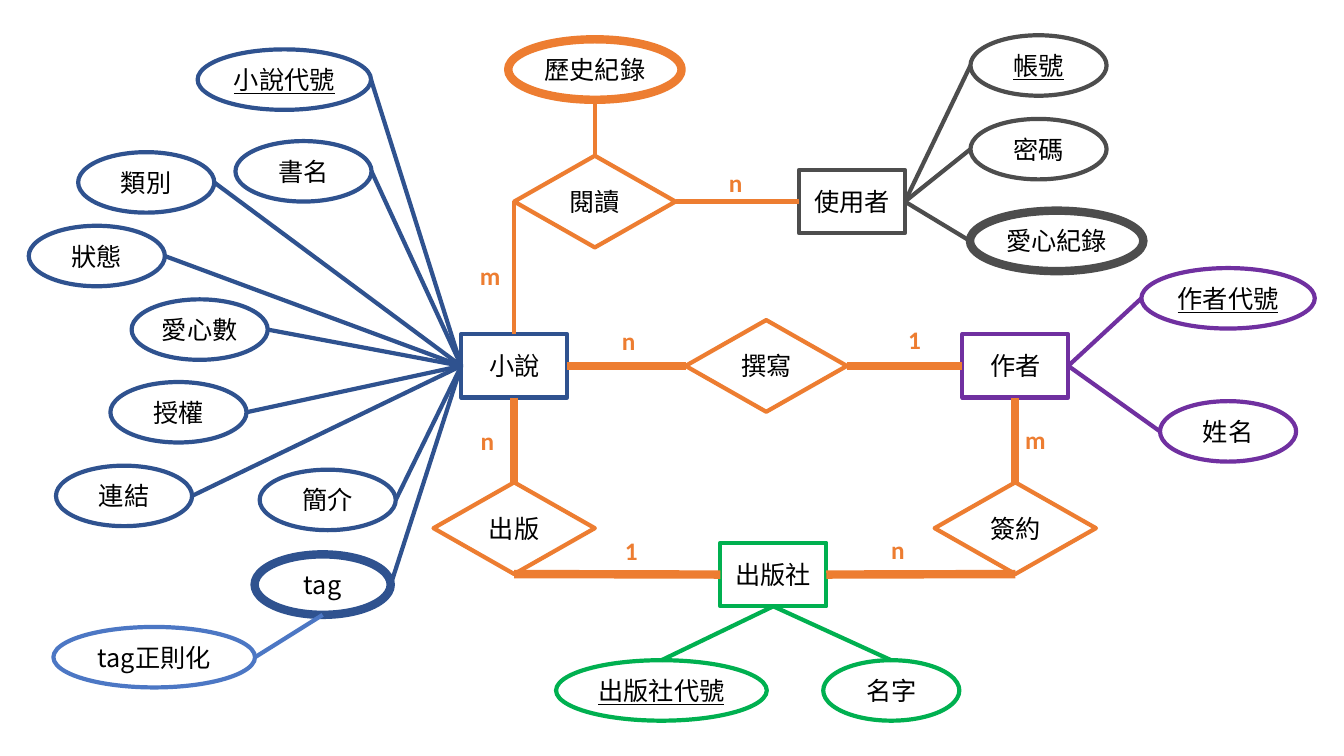
from dataclasses import dataclass
from enum import IntEnum
from typing import Any

from lxml.etree import SubElement
from pptx import Presentation
from pptx.dml.color import RGBColor
from pptx.enum.shapes import MSO_CONNECTOR as Connector, MSO_SHAPE as Preset
from pptx.enum.text import MSO_ANCHOR as Anchor, MSO_AUTO_SIZE as AutoSize, PP_ALIGN as Align
from pptx.oxml.ns import qn
from pptx.util import Inches, Pt

SLIDE_WIDTH, SLIDE_HEIGHT = Inches(13.33), Inches(7.5)
COLUMN, ROW = SLIDE_WIDTH / 133.3, SLIDE_HEIGHT / 75


@dataclass(frozen=True)
class Theme:
    novel: str = "2F528F"
    tag: str = "4C77C4"
    author: str = "7030A0"
    user: str = "4D4D4D"
    publisher: str = "00B050"
    relation: str = "ED7D31"
    text: str = "000000"
    background: str = "FFFFFF"
    node_font: str = "Noto Sans CJK SC"
    label_font: str = "Calibri"
    size: int = 18
    thin: int = 3
    thick: int = 6


THEME = Theme()


class Side(IntEnum):
    TOP = 0
    LEFT = 1
    BOTTOM = 2
    RIGHT = 3


@dataclass(frozen=True)
class Node:
    """A shape centred on a grid point."""
    text: str
    column: float
    row: float
    colour: str
    width: float
    height: float
    preset: Preset
    key: bool = False
    weight: int = THEME.thin
    filled: bool = False

    def point(self, side: Side) -> tuple[int, int]:
        across = {Side.LEFT: -0.5, Side.RIGHT: 0.5}.get(side, 0)
        down = {Side.TOP: -0.5, Side.BOTTOM: 0.5}.get(side, 0)
        return (round((self.column + across * self.width) * COLUMN),
                round((self.row + down * self.height) * ROW))


@dataclass(frozen=True)
class Link:
    start: str
    start_side: Side
    end: str
    end_side: Side
    colour: str = THEME.relation
    weight: int = THEME.thick


@dataclass(frozen=True)
class Label:
    text: str
    left: float
    top: float


@dataclass(frozen=True)
class Family:
    """Attributes fanning out from one side of their owner."""
    owner: str
    owner_side: Side
    attribute_side: Side
    colour: str
    attributes: tuple[Node, ...]


def entity(text: str, column: float, row: float, colour: str) -> Node:
    return Node(text, column, row, colour, 10.5, 6.3, Preset.RECTANGLE)


def relation(text: str, column: float, row: float) -> Node:
    return Node(text, column, row, THEME.relation, 16, 9.1, Preset.FLOWCHART_DECISION, filled=True)


def attribute(text: str, column: float, row: float, colour: str,
              width: float = 13.5, **options: Any) -> Node:
    return Node(text, column, row, colour, width, 6, Preset.OVAL, **options)


WIDE = 17.2
KEY = {"key": True}
MULTIVALUED = {"weight": THEME.thick}

ENTITIES = (
    entity("小說", 51, 36.3, THEME.novel),
    entity("作者", 100.7, 36.3, THEME.author),
    entity("使用者", 84.5, 20, THEME.user),
    entity("出版社", 76.7, 57, THEME.publisher),
)
RELATIONS = (
    relation("閱讀", 59, 20),
    relation("出版", 51, 52.4),
    relation("撰寫", 76, 36.3),
    relation("簽約", 100.7, 52.4),
)
FAMILIES = (
    Family("小說", Side.LEFT, Side.RIGHT, THEME.novel, (
        attribute("小說代號", 28.2, 7.9, THEME.novel, WIDE, **KEY),
        attribute("書名", 30.1, 17, THEME.novel),
        attribute("類別", 14.5, 18.1, THEME.novel),
        attribute("狀態", 9.6, 25.4, THEME.novel),
        attribute("愛心數", 19.8, 32.7, THEME.novel),
        attribute("授權", 17.7, 40.9, THEME.novel),
        attribute("連結", 12.3, 49.2, THEME.novel),
        attribute("簡介", 32.5, 49.6, THEME.novel),
        attribute("tag", 32, 58, THEME.novel, **MULTIVALUED),
    )),
    Family("tag", Side.BOTTOM, Side.RIGHT, THEME.tag, (
        attribute("tag正則化", 15.3, 65.2, THEME.tag, 20),
    )),
    Family("出版社", Side.BOTTOM, Side.TOP, THEME.publisher, (
        attribute("出版社代號", 65.6, 68.5, THEME.publisher, 20.9, **KEY),
        attribute("名字", 88.4, 68.5, THEME.publisher),
    )),
    Family("作者", Side.RIGHT, Side.LEFT, THEME.author, (
        attribute("作者代號", 121.8, 29.6, THEME.author, WIDE, filled=True, **KEY),
        attribute("姓名", 121.8, 42.8, THEME.author),
    )),
    Family("使用者", Side.RIGHT, Side.LEFT, THEME.user, (
        attribute("帳號", 103, 6.5, THEME.user, **KEY),
        attribute("密碼", 103, 14.8, THEME.user),
        attribute("愛心紀錄", 104.8, 23.9, THEME.user, WIDE, filled=True, **MULTIVALUED),
    )),
    Family("閱讀", Side.TOP, Side.BOTTOM, THEME.relation, (
        attribute("歷史紀錄", 59, 6.9, THEME.relation, WIDE, filled=True, **MULTIVALUED),
    )),
)
RELATION_LINKS = (
    Link("小說", Side.BOTTOM, "出版", Side.TOP),
    Link("出版", Side.BOTTOM, "出版社", Side.LEFT),
    Link("出版社", Side.RIGHT, "簽約", Side.BOTTOM),
    Link("簽約", Side.TOP, "作者", Side.BOTTOM),
    Link("撰寫", Side.RIGHT, "作者", Side.LEFT),
    Link("小說", Side.RIGHT, "撰寫", Side.LEFT),
    Link("閱讀", Side.LEFT, "小說", Side.TOP, weight=THEME.thin),
    Link("閱讀", Side.RIGHT, "使用者", Side.LEFT, weight=THEME.thin),
)
LABELS = (
    Label("m", 100.7, 41.6), Label("n", 60.7, 31.8), Label("1", 89.1, 31.7),
    Label("1", 61, 52.6), Label("m", 46.6, 25.3), Label("n", 87.4, 52.5),
    Label("n", 71.3, 16.1), Label("n", 46.7, 41.7),
)


def write(shape: Any, text: str, align: Align, colour: str, font_format: dict[str, Any]) -> None:
    paragraph = shape.text_frame.paragraphs[0]
    paragraph.alignment = align
    run = paragraph.add_run()
    run.text = text
    for name, value in ({"size": Pt(THEME.size)} | font_format).items():
        setattr(run.font, name, value)
    run.font.color.rgb = RGBColor.from_string(colour)
    SubElement(run._r.get_or_add_rPr(), qn("a:ea"), typeface=font_format["name"])


def draw_line(line: Any, colour: str, weight: int) -> None:
    line.color.rgb = RGBColor.from_string(colour)
    line.width = Pt(weight)


def draw_node(slide: Any, node: Node) -> Any:
    shape = slide.shapes.add_shape(
        node.preset, node.point(Side.LEFT)[0], node.point(Side.TOP)[1],
        round(node.width * COLUMN), round(node.height * ROW))
    shape.shadow.inherit = False
    if node.filled:
        shape.fill.solid()
        shape.fill.fore_color.rgb = RGBColor.from_string(THEME.background)
    else:
        shape.fill.background()
    draw_line(shape.line, node.colour, node.weight)
    for name, value in {"word_wrap": False, "vertical_anchor": Anchor.MIDDLE}.items():
        setattr(shape.text_frame, name, value)
    write(shape, node.text, Align.CENTER, THEME.text,
          {"name": THEME.node_font, "underline": node.key})
    return shape


def draw_link(slide: Any, link: Link, nodes: dict[str, Node], shapes: dict[str, Any]) -> None:
    start, end = nodes[link.start], nodes[link.end]
    connector = slide.shapes.add_connector(
        Connector.STRAIGHT, *start.point(link.start_side), *end.point(link.end_side))
    if start.preset != Preset.OVAL:
        connector.begin_connect(shapes[link.start], int(link.start_side))
    if end.preset != Preset.OVAL:
        connector.end_connect(shapes[link.end], int(link.end_side))
    draw_line(connector.line, link.colour, link.weight)
    SubElement(connector._element.spPr, qn("a:effectLst"))


def draw_label(slide: Any, label: Label) -> None:
    width = 4.1 if label.text == "m" else 3.4
    box = slide.shapes.add_textbox(
        round(label.left * COLUMN), round(label.top * ROW), round(width * COLUMN), round(4 * ROW))
    for name, value in {"word_wrap": False, "auto_size": AutoSize.SHAPE_TO_FIT_TEXT}.items():
        setattr(box.text_frame, name, value)
    write(box, label.text, Align.LEFT, THEME.relation, {"name": THEME.label_font, "bold": True})


def main() -> None:
    presentation = Presentation()
    presentation.slide_width, presentation.slide_height = SLIDE_WIDTH, SLIDE_HEIGHT
    slide = presentation.slides.add_slide(presentation.slide_layouts[6])
    attributes = tuple(node for family in FAMILIES for node in family.attributes)
    nodes = {node.text: node for node in ENTITIES + attributes + RELATIONS}
    shapes = {text: draw_node(slide, node) for text, node in nodes.items()}
    attribute_links = tuple(
        Link(family.owner, family.owner_side, node.text, family.attribute_side,
             family.colour, THEME.thin)
        for family in FAMILIES for node in family.attributes)
    for link in attribute_links + RELATION_LINKS:
        draw_link(slide, link, nodes, shapes)
    for label in LABELS:
        draw_label(slide, label)
    presentation.save("out.pptx")


if __name__ == "__main__":
    main()
